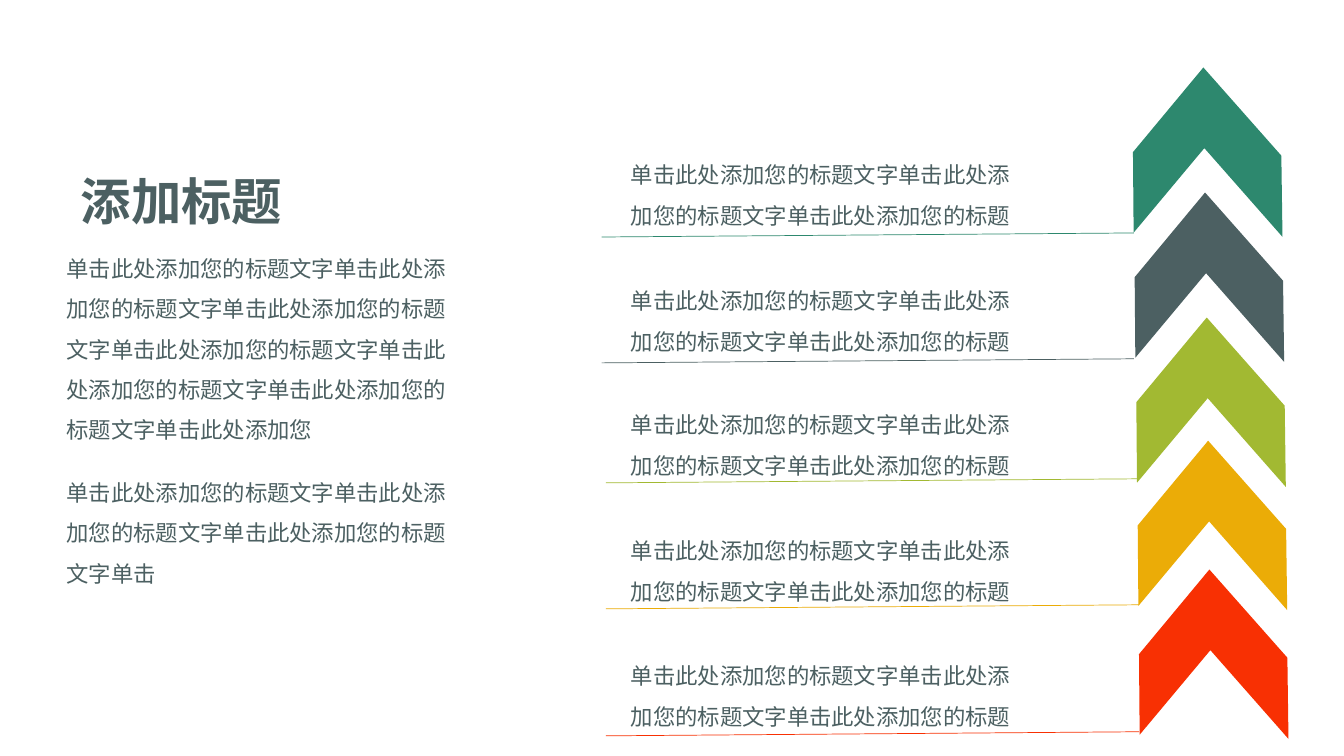
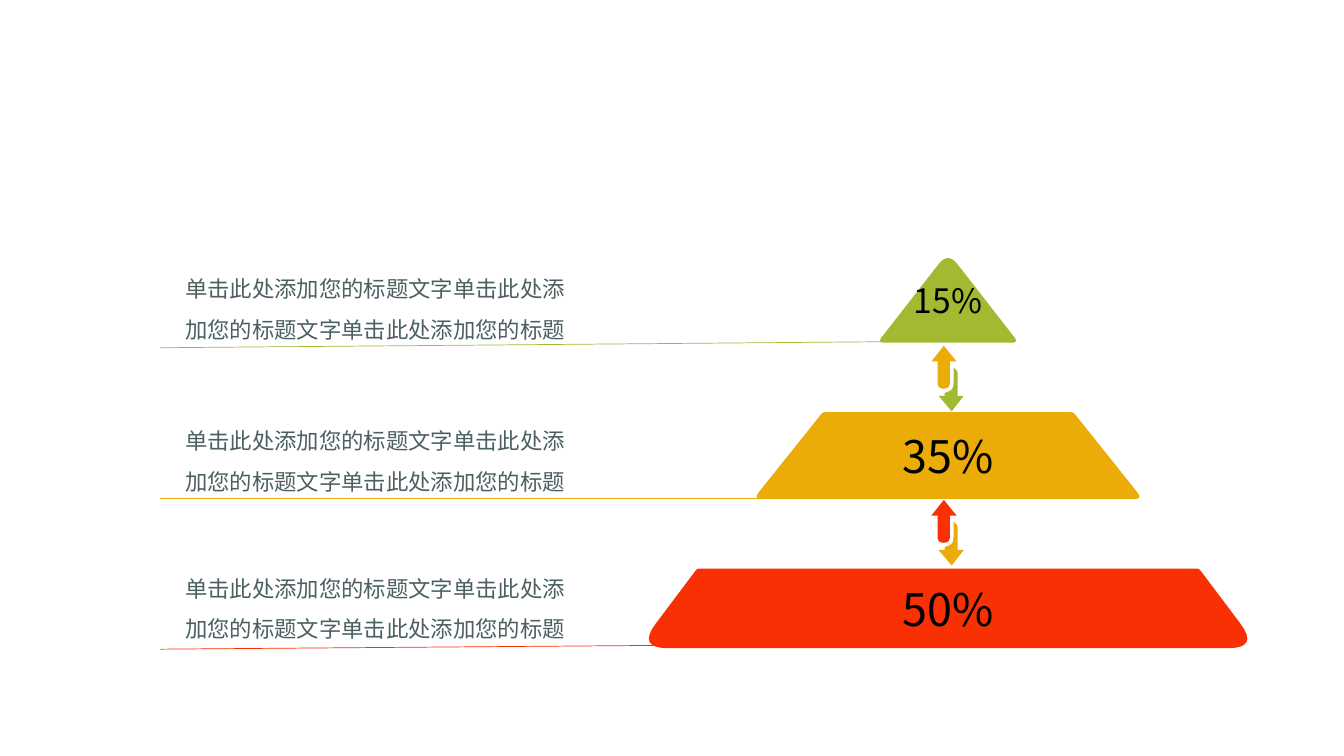
from math import hypot

from lxml.etree import SubElement
from pptx import Presentation
from pptx.dml.color import RGBColor
from pptx.enum.shapes import MSO_CONNECTOR
from pptx.enum.text import MSO_ANCHOR, MSO_AUTO_SIZE, PP_ALIGN
from pptx.oxml.ns import qn
from pptx.util import Pt

GREEN = RGBColor(0x2D, 0x88, 0x6E)
SLATE = RGBColor(0x4C, 0x60, 0x62)
LIME = RGBColor(0xA2, 0xB9, 0x32)
GOLD = RGBColor(0xEB, 0xAC, 0x07)
RED = RGBColor(0xF8, 0x30, 0x03)
BLACK = RGBColor(0, 0, 0)
FONT = "Noto Sans CJK SC"

UNIT = "单击此处添加您的标题文字"
CAPTION = UNIT * 2 + "单击此处添加您的标题"
STORY = [UNIT * 6 + "单击此处添加您", UNIT * 3 + "单击"]

# Outlines as (x, y, corner cut)
CHEVRON = [(50.3, 0, 0), (106, 63, 0), (106.8, 121, 0),
           (51, 57.6, 0), (0.5, 118, 0), (0, 60.5, 0)]
RISE = [(8.9, 0, 0), (18, 11.2, 0), (13.2, 11.2, 0), (13.2, 30.6, 4.4),
        (4.4, 30.6, 4.4), (4.4, 11.2, 0), (0, 11.2, 0)]
DROP = [(10.8, 0, 0), (13.7, 2, 2.5), (13.7, 20, 0), (18, 20, 0),
        (9.4, 31, 0), (0, 20, 0), (4.3, 20, 0), (4.3, 18, 0),
        (10.3, 15.5, 3), (10.8, 9.4, 0)]

# Colour, chevron left and top, line right, left and top, text top
STEPS = [
    (GREEN, 809.3, 48.2, 810, 429.8, 166.4, 102.2),
    (SLATE, 810.5, 137.5, 810, 429.8, 256.3, 192.2),
    (LIME, 811.7, 226.8, 813.6, 432.8, 342, 280.8),
    (GOLD, 812.7, 314.8, 813.6, 432.8, 432, 370.8),
    (RED, 813.6, 406.8, 813.6, 432.8, 522.7, 460.1),
]

# Colour, label, size, top, base, half widths and cuts at top and base,
# line start and end, text top
TIERS = [
    (LIME, "15%", 24, 180.1, 244.8, (0, 50.4), (10.8, 5),
     (630, 244.1), (114.5, 248.4), 183.6),
    (GOLD, "35%", 32, 294.5, 356.4, (89.5, 139), (2, 6),
     (542.2, 355.7), (114.5, 355.7), 292.3),
    (RED, "50%", 32, 406.1, 463, (179.2, 222), (2, 22),
     (495.4, 460.8), (114.5, 463.7), 397.4),
]
AXIS = 677.2


def style(para, size, color=SLATE, bold=False, align=PP_ALIGN.LEFT):
    para.alignment = align
    font = para.font
    font.size, font.bold, font.name = Pt(size), bold, FONT
    font.color.rgb = color
    props = para._p.get_or_add_pPr().find(qn("a:defRPr"))
    SubElement(props, qn("a:ea"), typeface=FONT)


def place(shape, left, top, width, height):
    shape.left, shape.top = Pt(left), Pt(top)
    shape.width, shape.height = Pt(width), Pt(height)


def prep(frame):
    frame.word_wrap = True
    frame.auto_size = MSO_AUTO_SIZE.NONE
    frame.vertical_anchor = MSO_ANCHOR.TOP


def trim(points):
    """Return the outline with each cut corner drawn as a smooth curve."""
    out = []
    for i, (x, y, cut) in enumerate(points):
        if not cut:
            out.append((x, y))
            continue
        ends = []
        for px, py, _ in (points[i - 1], points[(i + 1) % len(points)]):
            part = cut / hypot(px - x, py - y)
            ends.append((x + (px - x) * part, y + (py - y) * part))
        (ax, ay), (bx, by) = ends
        for step in range(9):
            t = step / 8
            a, b, c = (1 - t) ** 2, 2 * t * (1 - t), t * t
            out.append((a * ax + b * x + c * bx, a * ay + b * y + c * by))
    return out


def draw(slide, points, color, left=0, top=0):
    dots = [(Pt(left + x), Pt(top + y)) for x, y in trim(points)]
    pen = slide.shapes.build_freeform(*dots[0])
    pen.add_line_segments(dots[1:], close=True)
    shape = pen.convert_to_shape()
    shape.shadow.inherit = False
    shape.fill.solid()
    shape.fill.fore_color.rgb = color
    shape.line.fill.background()
    return shape


def rule(slide, start, end, color):
    line = slide.shapes.add_connector(
        MSO_CONNECTOR.STRAIGHT, *map(Pt, start + end))
    line.line.color.rgb = color
    line.line.width = Pt(0.5)
    SubElement(line._element.spPr, qn("a:effectLst"))


def note(slide, left, top):
    box = slide.shapes.add_textbox(Pt(left), Pt(top), Pt(298), Pt(65.5))
    prep(box.text_frame)
    para = box.text_frame.paragraphs[0]
    para.text = CAPTION
    para.line_spacing = 1.5
    style(para, 16)


def tier(slide, color, label, size, top, base, halves, cuts):
    """Draw one level of the pyramid, centred on the axis."""
    (high, low), (tip, foot) = halves, cuts
    points = [(AXIS - high, top, tip), (AXIS + high, top, tip),
              (AXIS + low, base, foot), (AXIS - low, base, foot)]
    shape = draw(slide, list(dict.fromkeys(points)), color)
    shape.text_frame.vertical_anchor = MSO_ANCHOR.MIDDLE
    para = shape.text_frame.paragraphs[0]
    para.text = label
    style(para, size, BLACK, align=PP_ALIGN.CENTER)


def intro(slide):
    title, body = slide.placeholders
    place(title, 40.3, 118, 178.6, 51)
    prep(title.text_frame)
    title.text_frame.text = "添加标题"
    style(title.text_frame.paragraphs[0], 36, bold=True,
          align=PP_ALIGN.CENTER)

    place(body, 40.3, 169.2, 298, 254)
    prep(body.text_frame)
    body.text_frame.text = "\n".join(STORY)
    for i, para in enumerate(body.text_frame.paragraphs):
        props = para._p.get_or_add_pPr()
        props.set("marL", "0")
        props.set("indent", "0")
        SubElement(props, qn("a:buNone"))
        para.line_spacing = 1.5
        para.space_before = Pt(16 * i)
        style(para, 16)


def steps(slide):
    intro(slide)
    for color, left, top, right, end, level, text in STEPS:
        draw(slide, CHEVRON, color, left, top)
        rule(slide, (right, level), (end, level + 2.9), color)
        note(slide, 443.5, text)


def tiers(slide):
    for top, upper, lower in ((247, LIME, GOLD), (357.1, GOLD, RED)):
        draw(slide, RISE, lower, 665.3, top)
        draw(slide, DROP, upper, 670.4, top + 15.8)
    for color, label, size, top, base, halves, cuts, start, end, text in TIERS:
        tier(slide, color, label, size, top, base, halves, cuts)
        rule(slide, start, end, color)
        note(slide, 125.3, text)


def main():
    deck = Presentation()
    deck.slide_width, deck.slide_height = Pt(960), Pt(540)
    steps(deck.slides.add_slide(deck.slide_layouts[1]))
    tiers(deck.slides.add_slide(deck.slide_layouts[6]))
    deck.save("out.pptx")


if __name__ == "__main__":
    main()
